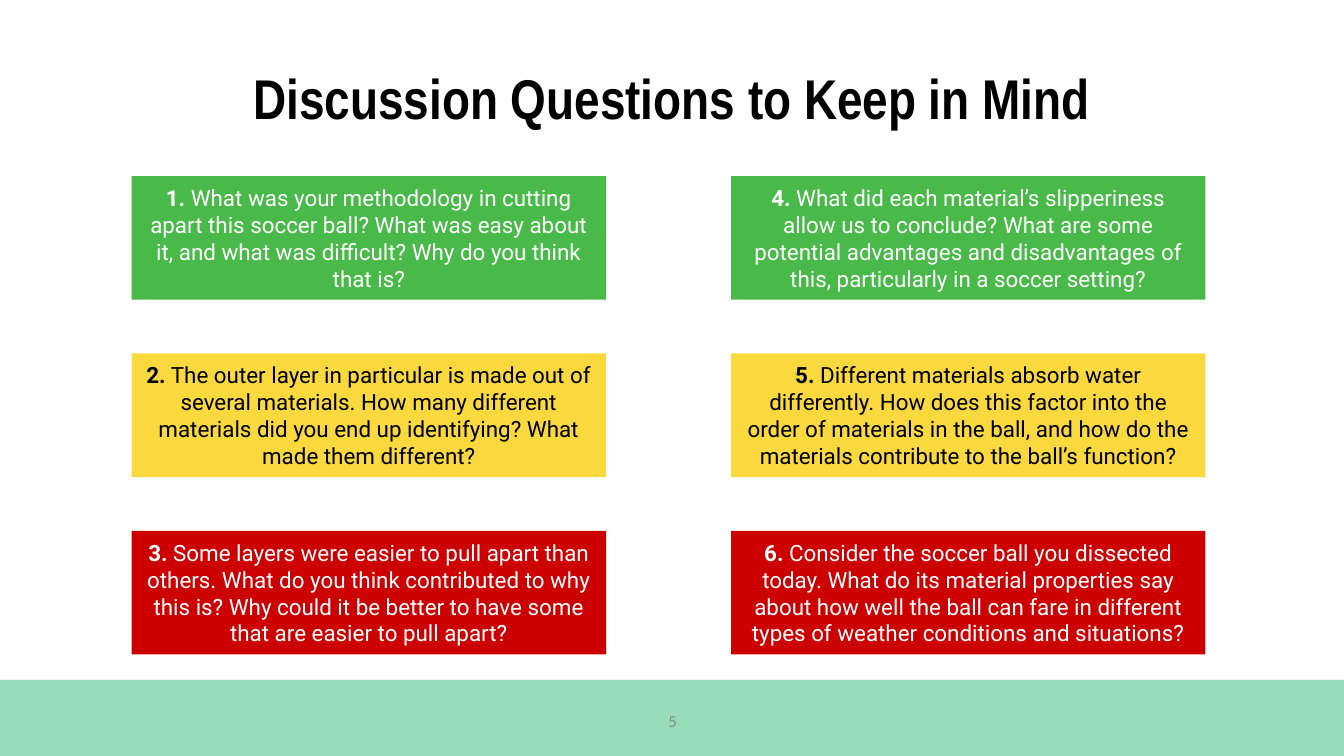
from pptx import Presentation
from pptx.dml.color import RGBColor
from pptx.enum.shapes import MSO_SHAPE
from pptx.enum.text import MSO_ANCHOR, MSO_AUTO_SIZE, PP_ALIGN
from pptx.util import Inches, Pt

RECTANGLE = MSO_SHAPE.RECTANGLE
TOP, MIDDLE = MSO_ANCHOR.TOP, MSO_ANCHOR.MIDDLE
CENTER = PP_ALIGN.CENTER
NO_AUTOFIT = MSO_AUTO_SIZE.NONE

COLORS = {
    "black": "000000", "white": "FFFFFF", "gray": "888888", "mint": "98DDBA",
    "green": "49BA49", "yellow": "F9D93D", "red": "CC0000",
}
ROW_COLORS = [("green", "white"), ("yellow", "black"), ("red", "white")]
QUESTIONS = [
    "What was your methodology in cutting apart this soccer ball? What was easy "
    "about it, and what was difficult? Why do you think that is?",
    "The outer layer in particular is made out of several materials. How many "
    "different materials did you end up identifying? What made them different?",
    "Some layers were easier to pull apart than others. What do you think "
    "contributed to why this is? Why could it be better to have some that are "
    "easier to pull apart?",
    "What did each material’s slipperiness allow us to conclude? What are some "
    "potential advantages and disadvantages of this, particularly in a soccer setting?",
    "Different materials absorb water differently. How does this factor into the "
    "order of materials in the ball, and how do the materials contribute to the "
    "ball’s function?",
    "Consider the soccer ball you dissected today. What do its material properties "
    "say about how well the ball can fare in different types of weather conditions "
    "and situations?",
]


def write_text(shape, runs, font, color, margins=(0.1, 0.1), anchor=MIDDLE):
    """Fill the shape with one centred paragraph of (text, bold) runs."""
    frame = shape.text_frame
    side, end = (Inches(margin) for margin in margins)
    frame_format = {
        "word_wrap": True, "auto_size": NO_AUTOFIT, "vertical_anchor": anchor,
        "margin_left": side, "margin_right": side,
        "margin_top": end, "margin_bottom": end,
    }
    for name, value in frame_format.items():
        setattr(frame, name, value)
    paragraph = frame.paragraphs[0]
    paragraph.alignment = CENTER
    for text, bold in runs:
        run = paragraph.add_run()
        run.text = text
        for name, value in {**font, "bold": bold}.items():
            setattr(run.font, name, value)
        run.font.color.rgb = RGBColor.from_string(COLORS[color])
    return paragraph


def add_rectangle(slide, left, top, width, height, color):
    shape = slide.shapes.add_shape(
        RECTANGLE, Inches(left), Inches(top), Inches(width), Inches(height))
    shape.shadow.inherit = False
    shape.fill.solid()
    shape.fill.fore_color.rgb = RGBColor.from_string(COLORS[color])
    shape.line.fill.background()
    return shape


presentation = Presentation()
presentation.slide_width = Inches(10)
presentation.slide_height = Inches(10 * 9 / 16)
slide = presentation.slides.add_slide(presentation.slide_layouts[5])

title = slide.shapes.title
title_box = {"left": 0.78, "top": 0.59, "width": 8.44, "height": 0.45}
for name, value in title_box.items():
    setattr(title, name, Inches(value))
heading = write_text(title, [("Discussion Questions to Keep in Mind", True)],
                     {"name": "Arial Narrow", "size": Pt(30)}, "black", anchor=TOP)
heading.line_spacing = 0.5

# Questions run down the left column, then down the right one
for index, question in enumerate(QUESTIONS):
    column, row = divmod(index, len(ROW_COLORS))
    fill_color, text_color = ROW_COLORS[row]
    card = add_rectangle(slide, 0.98 + 4.46 * column, 1.31 + 1.32 * row,
                         3.53, 0.92, fill_color)
    write_text(card, [(f"{index + 1}.", True), (f" {question}", False)],
               {"name": "Roboto", "size": Pt(12)}, text_color)

add_rectangle(slide, 0, 5.06, 10, 0.57, "mint")
page_number = slide.shapes.add_textbox(
    Inches(3.88), Inches(5.21), Inches(2.25), Inches(0.3))
write_text(page_number, [("5", False)], {"name": "Calibri", "size": Pt(9)},
           "gray", margins=(0.07, 0.04))

presentation.save("out.pptx")
